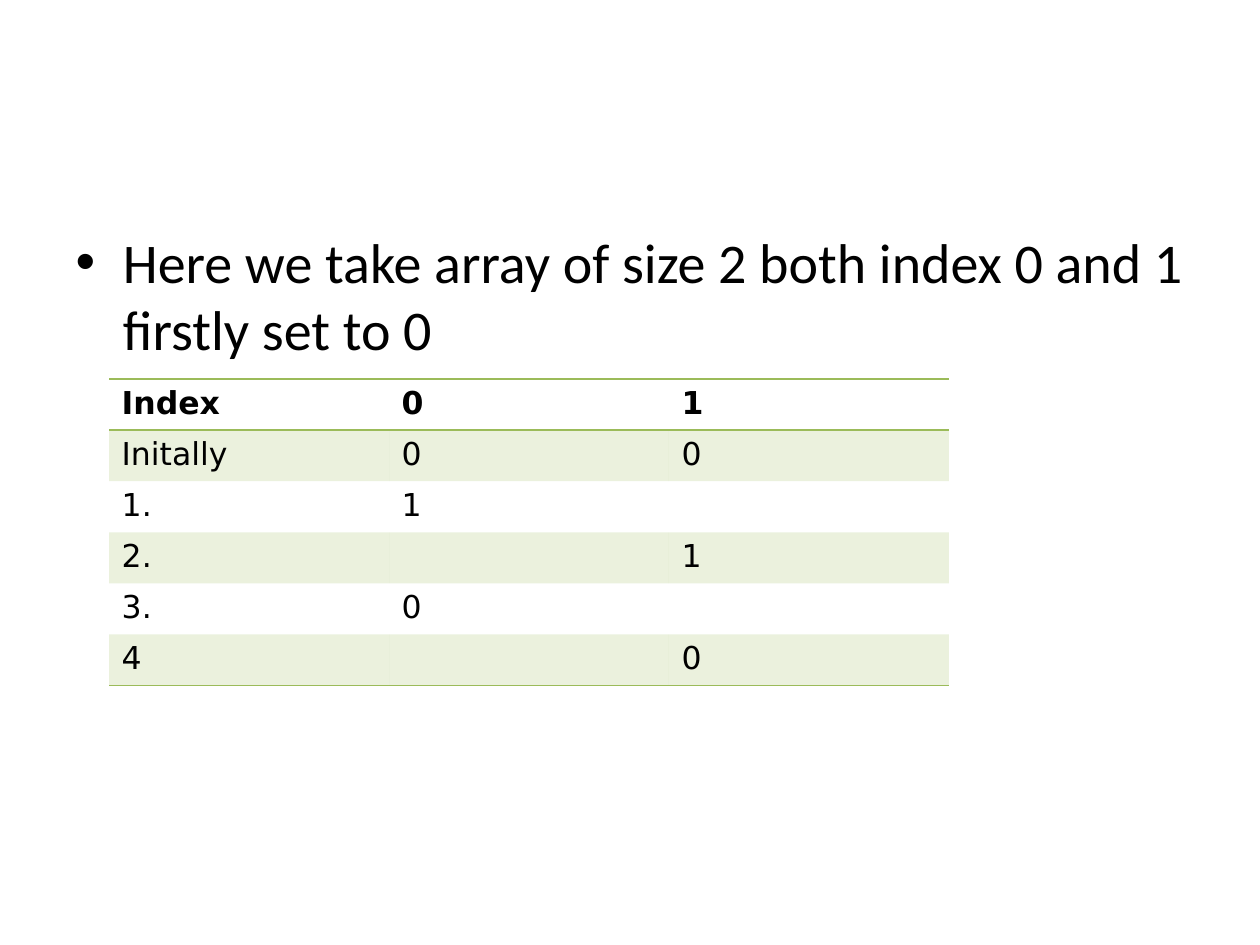
from lxml.etree import SubElement
from pptx import Presentation
from pptx.dml.color import RGBColor
from pptx.oxml.ns import qn
from pptx.util import Cm, Pt

HUES = {"ink": "000000", "green": "9BBB59"}
ROWS = [
    ["Index", "0", "1"],
    ["Initally", "0", "0"],
    ["1.", "1", ""],
    ["2.", "", "1"],
    ["3.", "0", ""],
    ["4", "", "0"],
]


def style(para, face, size, bold=False):
    font = para.font
    font.name = face
    font.size = Pt(size)
    font.bold = bold
    font.color.rgb = RGBColor.from_string(HUES["ink"])


def add_list(slide, text):
    body = slide.placeholders[1]
    body.left, body.top = Cm(1.27), Cm(4.45)
    body.width, body.height = Cm(22.86), Cm(12.57)
    body.text_frame.text = text
    para = body.text_frame.paragraphs[0]
    para.space_before = Pt(0)
    style(para, "Calibri", 32)


def set_edges(cell, drawn):
    props = cell._tc.get_or_add_tcPr()
    for side in "LRTB":
        edge = SubElement(props, qn(f"a:ln{side}"), w=str(Pt(1)))
        if side in drawn:
            fill = SubElement(edge, qn("a:solidFill"))
            SubElement(fill, qn("a:srgbClr"), val=HUES["green"])
        else:
            SubElement(edge, qn("a:noFill"))


def set_fill(cell, tinted):
    if not tinted:
        cell.fill.background()
        return
    cell.fill.solid()
    cell.fill.fore_color.rgb = RGBColor.from_string(HUES["green"])
    tint = cell._tc.tcPr.find(f".//{qn('a:solidFill')}[last()]")
    tint = cell._tc.tcPr.find(qn("a:solidFill"))
    SubElement(tint[0], qn("a:alpha"), val="20000")


def add_grid(slide, rows):
    frame = slide.shapes.add_table(
        len(rows), len(rows[0]), Cm(2.2), Cm(7.64), Cm(16.93), Cm(1.03) * len(rows)
    )
    grid = frame.table
    grid.first_row = grid.horz_banding = False
    edges = {0: "TB", 1: "T", len(rows) - 1: "B"}
    for r, row in enumerate(rows):
        for c, text in enumerate(row):
            cell = grid.cell(r, c)
            cell.text = text
            style(cell.text_frame.paragraphs[0], "DejaVu Sans", 18, r == 0)
            set_edges(cell, edges.get(r, ""))
            set_fill(cell, r % 2 == 1)


def main():
    deck = Presentation()
    deck.slide_width, deck.slide_height = Cm(25.4), Cm(19.05)
    slide = deck.slides.add_slide(deck.slide_layouts[1])
    title = slide.shapes.title.element
    title.getparent().remove(title)
    add_list(slide, "Here we take array of size 2 both index 0 and 1 firstly set to 0")
    add_grid(slide, ROWS)
    deck.save("out.pptx")


if __name__ == "__main__":
    main()
